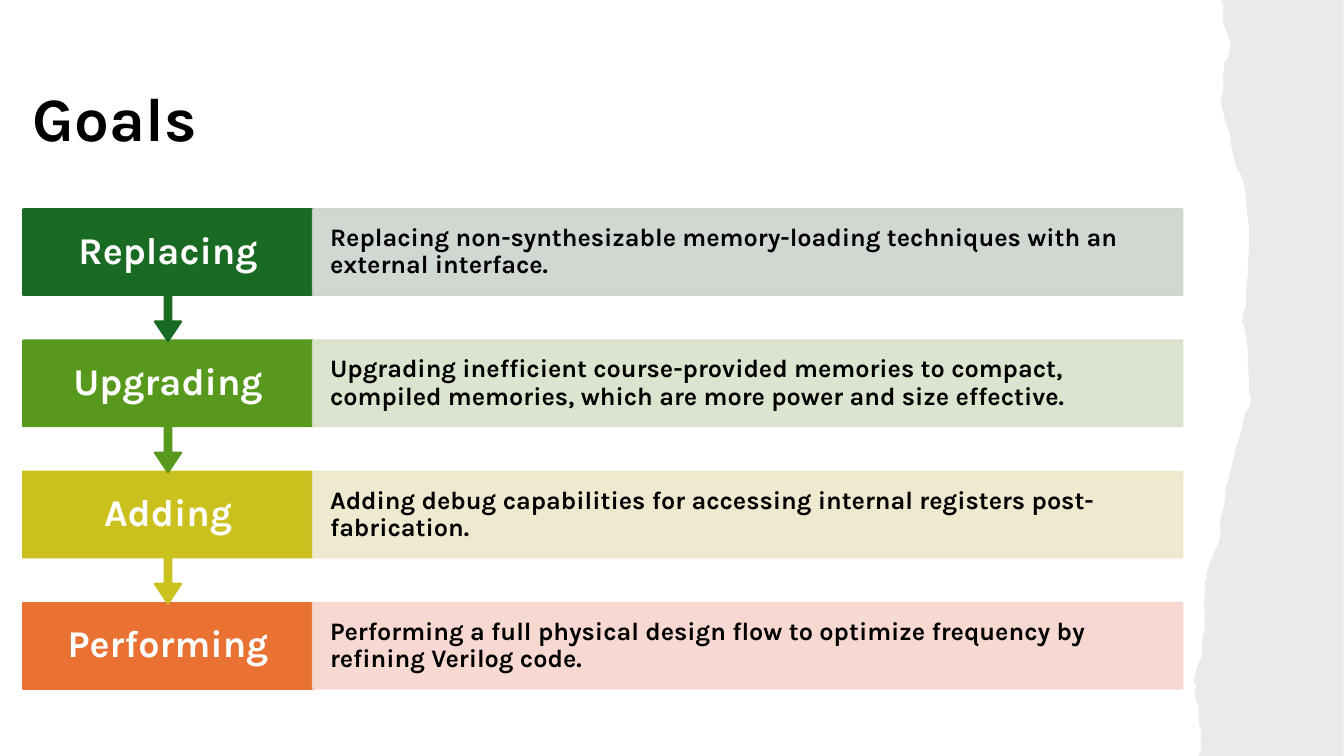
from lxml import etree
from pptx import Presentation
from pptx.dml.color import RGBColor
from pptx.enum.shapes import MSO_SHAPE
from pptx.enum.text import MSO_ANCHOR, PP_ALIGN
from pptx.oxml.ns import qn
from pptx.util import Pt

RECT = MSO_SHAPE.RECTANGLE
CALLOUT = MSO_SHAPE.DOWN_ARROW_CALLOUT
MIDDLE = MSO_ANCHOR.MIDDLE
LEFT, CENTER = PP_ALIGN.LEFT, PP_ALIGN.CENTER

FONT = "Karla"
COLORS = {
    "black": "000000", "white": "FFFFFF", "paper": "82766A",
    "green": "196B24", "green_tint": "CCD4CD",
    "lime": "56991D", "lime_tint": "D8E2CA",
    "yellow": "CBC11E", "yellow_tint": "EEE7CB",
    "orange": "E97132", "orange_tint": "F7D5CE",
}

GOALS = [
    ("Replacing", "green",
     "Replacing non-synthesizable memory-loading techniques with an external interface."),
    ("Upgrading", "lime",
     "Upgrading inefficient course-provided memories to compact, compiled memories, "
     "which are more power and size effective."),
    ("Adding", "yellow",
     "Adding debug capabilities for accessing internal registers post-fabrication."),
    ("Performing", "orange",
     "Performing a full physical design flow to optimize frequency by refining Verilog code."),
]

# Torn edge from top to bottom, in units of 0.72 pt from the strip's corner
TORN_EDGE = [
    (27, 0), (30, 7), (29, 15), (30, 24), (37, 42), (36, 51), (34, 58), (30, 63),
    (31, 66), (29, 77), (30, 85), (29, 91), (27, 102), (33, 125), (36, 131),
    (37, 142), (40, 155), (41, 160), (43, 167), (47, 173), (49, 179), (51, 187),
    (52, 196), (53, 209), (55, 223), (55, 249), (54, 264), (54, 272), (52, 289),
    (52, 303), (50, 309), (48, 320), (50, 323), (52, 333), (53, 341), (54, 348),
    (54, 363), (55, 374), (55, 388), (57, 395), (57, 398), (55, 405), (51, 410),
    (48, 426), (41, 448), (36, 471), (34, 478), (33, 482), (31, 485), (32, 490),
    (30, 503), (28, 510), (26, 518), (27, 526), (26, 535), (24, 542), (21, 546),
    (16, 560), (13, 568), (13, 573), (11, 579), (12, 584), (10, 600), (11, 607),
    (11, 625), (9, 631), (8, 646), (9, 649), (8, 652), (4, 660), (2, 668),
    (0, 675), (3, 682), (1, 686), (2, 693), (5, 701), (5, 711), (6, 720),
    (8, 727), (7, 734), (8, 744), (4, 750),
]


def rgb(name):
    return RGBColor.from_string(COLORS[name])


def paint(sp, color, opacity=100, line_width=1.5):
    """Fill and outline a shape in one colour; opacity is in percent."""
    sp.shadow.inherit = False
    sp.fill.solid()
    sp.fill.fore_color.rgb = rgb(color)
    if line_width:
        sp.line.width = Pt(line_width)
        sp.line.color.rgb = rgb(color)
    else:
        sp.line.fill.background()
    if opacity < 100:
        for clr in sp._element.spPr.iter(qn("a:srgbClr")):
            etree.SubElement(clr, qn("a:alpha"), val=str(opacity * 1000))


def write(sp, text, size, color, align=LEFT, inset_x=7.2, inset_y=3.6):
    tf = sp.text_frame
    tf.word_wrap = True
    tf.vertical_anchor = MIDDLE
    tf.margin_left = tf.margin_right = Pt(inset_x)
    tf.margin_top = tf.margin_bottom = Pt(inset_y)
    p = tf.paragraphs[0]
    p.alignment = align
    p.line_spacing = 0.9
    r = p.add_run()
    r.text = text
    r.font.name = FONT
    r.font.size = Pt(size)
    r.font.bold = True
    r.font.color.rgb = rgb(color)


def add_torn_strip(slide, left, top, width):
    unit = Pt(0.72)
    right = Pt(width) / unit
    builder = slide.shapes.build_freeform(*TORN_EDGE[0], scale=unit)
    builder.add_line_segments(
        TORN_EDGE[1:] + [(right, TORN_EDGE[-1][1]), (right, 0)], close=True)
    sp = builder.convert_to_shape(Pt(left), Pt(top))
    paint(sp, "paper", opacity=15, line_width=0)


def add_title(slide, left, top, width, height):
    sp = slide.shapes.add_textbox(Pt(left), Pt(top), Pt(width), Pt(height))
    write(sp, "Goals", 44, "black")


def add_goal(slide, left, top, width, height, goal, arrow):
    """Place a heading and its description; arrow is the length below the box."""
    heading, color, description = goal
    head_w = width / 4
    sp = slide.shapes.add_shape(
        CALLOUT if arrow else RECT,
        Pt(left), Pt(top), Pt(head_w), Pt(height + arrow))
    if arrow:
        for i, value in enumerate((0.05, 0.1, 0.15, height / (height + arrow))):
            sp.adjustments[i] = value
    paint(sp, color)
    write(sp, heading, 27, "white", CENTER, 14.4, 15)

    sp = slide.shapes.add_shape(
        RECT, Pt(left + head_w), Pt(top), Pt(width - head_w), Pt(height))
    paint(sp, color + "_tint", opacity=90)
    write(sp, description, 18, "black", LEFT, 12.24, 10)


def add_goals(slide, left, top, width, row_h=61.2, pitch=93.7, arrow=33):
    """Stack the goals from the bottom up, so each arrow tip overlaps the next box."""
    last = len(GOALS) - 1
    for i in range(last, -1, -1):
        add_goal(slide, left, top + i * pitch, width, row_h, GOALS[i],
                 arrow if i < last else 0)


def main():
    prs = Presentation()
    prs.slide_width, prs.slide_height = Pt(960), Pt(540)
    slide = prs.slides.add_slide(prs.slide_layouts[6])
    add_torn_strip(slide, 852.5, 0, 107.5)
    add_title(slide, 16.5, 34.5, 828, 104.5)
    add_goals(slide, 16.5, 149.5, 828)
    prs.save("out.pptx")


if __name__ == "__main__":
    main()
